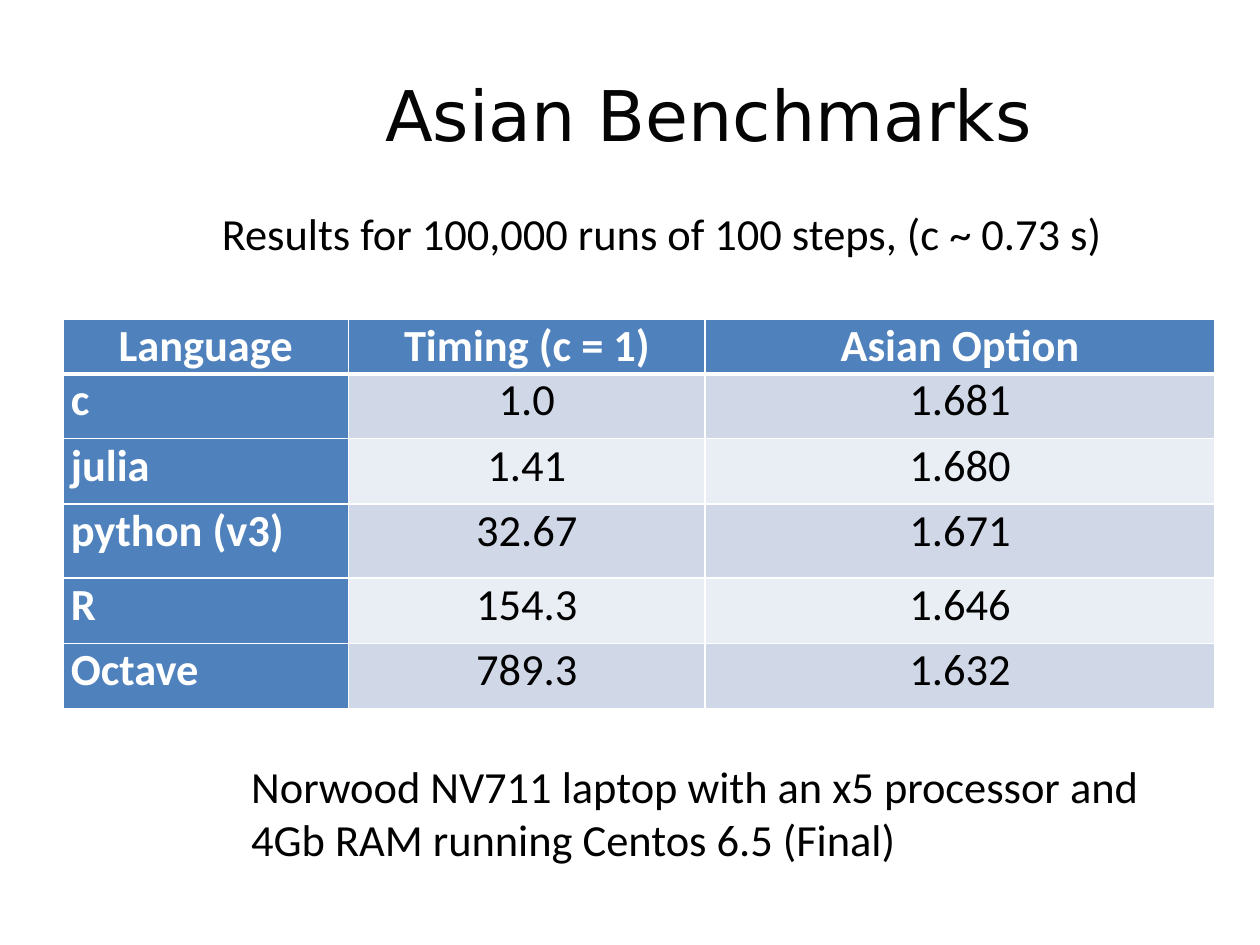
import pptx
import pptx.util
import pptx.dml.color
import pptx.enum.text
import pptx.oxml
import pptx.oxml.ns

Cm, Inches, Pt = pptx.util.Cm, pptx.util.Inches, pptx.util.Pt
ALIGN = pptx.enum.text.PP_ALIGN
ANCHOR = pptx.enum.text.MSO_ANCHOR

COLORS = {"title": "050505", "text": "000000", "white": "FFFFFF",
          "head": "4F81BD", "odd": "D0D8E8", "even": "E9EDF4"}

# left, top, width, height in percent of the slide's size
TITLE_BOX = (16.06, 3.75, 80.4, 16.44)
SUBTITLE_BOX = (8.53, 21.16, 87.93, 6.89)
TABLE_BOX = (4.99, 33.74, 91.43, 41.24)
NOTE_BOX = (19.05, 79.69, 75.95, 12.58)

COLUMN_SHARES = (2.5, 3.12, 4.46)
ROW_SHARES = (0.48, 0.57, 0.57, 0.65, 0.57, 0.57)
BENCHMARKS = (
    ("Language", "Timing (c = 1)", "Asian Option"),
    ("c", "1.0", "1.681"),
    ("julia", "1.41", "1.680"),
    ("python (v3)", "32.67", "1.671"),
    ("R", "154.3", "1.646"),
    ("Octave", "789.3", "1.632"),
)


def rgb(name):
    return pptx.dml.color.RGBColor.from_string(COLORS[name])


def place(prs, box):
    """Turn a box in percent of the slide into EMU lengths."""
    sizes = (prs.slide_width, prs.slide_height) * 2
    return [int(size * share / 100) for size, share in zip(sizes, box)]


def write(tf, text, align, color="text", size=28, font="Calibri", bold=False):
    p = tf.paragraphs[0]
    p.alignment = align
    r = p.add_run()
    r.text = text
    r.font.name, r.font.size, r.font.bold = font, Pt(size), bold
    r.font.color.rgb = rgb(color)


def add_text(s, box, text, align, **style):
    tf = s.shapes.add_textbox(*box).text_frame
    tf.word_wrap = True
    write(tf, text, align, **style)
    return tf


def add_title(s, box, text):
    tf = add_text(s, box, text, ALIGN.CENTER, color="title", size=44,
                  font="DejaVu Sans")
    tf.vertical_anchor = ANCHOR.MIDDLE
    tf.margin_left = tf.margin_top = tf.margin_right = tf.margin_bottom = 0


def set_borders(cell, top, bottom):
    """Draw white borders; top and bottom are widths in points."""
    for side, width in (("L", 1), ("R", 1), ("T", top), ("B", bottom)):
        cell._tc.get_or_add_tcPr().append(pptx.oxml.parse_xml(
            f'<a:ln{side} {pptx.oxml.ns.nsdecls("a")} w="{int(Pt(width))}">'
            f'<a:solidFill><a:srgbClr val="{COLORS["white"]}"/></a:solidFill>'
            f'</a:ln{side}>'))


def add_benchmark_table(s, box):
    left, top, width, height = box
    table = s.shapes.add_table(len(ROW_SHARES), len(COLUMN_SHARES), *box).table
    table.horz_banding = False
    for column, share in zip(table.columns, COLUMN_SHARES):
        column.width = int(width * share / sum(COLUMN_SHARES))
    for row, share in zip(table.rows, ROW_SHARES):
        row.height = int(height * share / sum(ROW_SHARES))

    for i, values in enumerate(BENCHMARKS):
        for j, value in enumerate(values):
            cell = table.cell(i, j)
            is_head = i == 0 or j == 0
            cell.margin_left = cell.margin_right = Inches(0.07)
            cell.margin_top = cell.margin_bottom = 0
            set_borders(cell, 3 if i == 1 else 1, 3 if i == 0 else 1)
            cell.fill.solid()
            cell.fill.fore_color.rgb = rgb(
                "head" if is_head else "odd" if i % 2 else "even")
            write(cell.text_frame, value,
                  ALIGN.LEFT if i and j == 0 else ALIGN.CENTER,
                  color="white" if is_head else "text", bold=is_head)


def add_benchmark_slide(prs):
    s = prs.slides.add_slide(prs.slide_layouts[6])
    add_title(s, place(prs, TITLE_BOX), "Asian Benchmarks")
    add_benchmark_table(s, place(prs, TABLE_BOX))
    add_text(s, place(prs, SUBTITLE_BOX),
             "Results for 100,000 runs of 100 steps, (c ~ 0.73 s)",
             ALIGN.CENTER)
    add_text(s, place(prs, NOTE_BOX),
             "Norwood NV711 laptop with an x5 processor and "
             "4Gb RAM running Centos 6.5 (Final)", ALIGN.LEFT)


def main():
    prs = pptx.Presentation()
    prs.slide_width, prs.slide_height = Cm(28), Cm(21)
    add_benchmark_slide(prs)
    prs.save("out.pptx")


if __name__ == "__main__":
    main()
